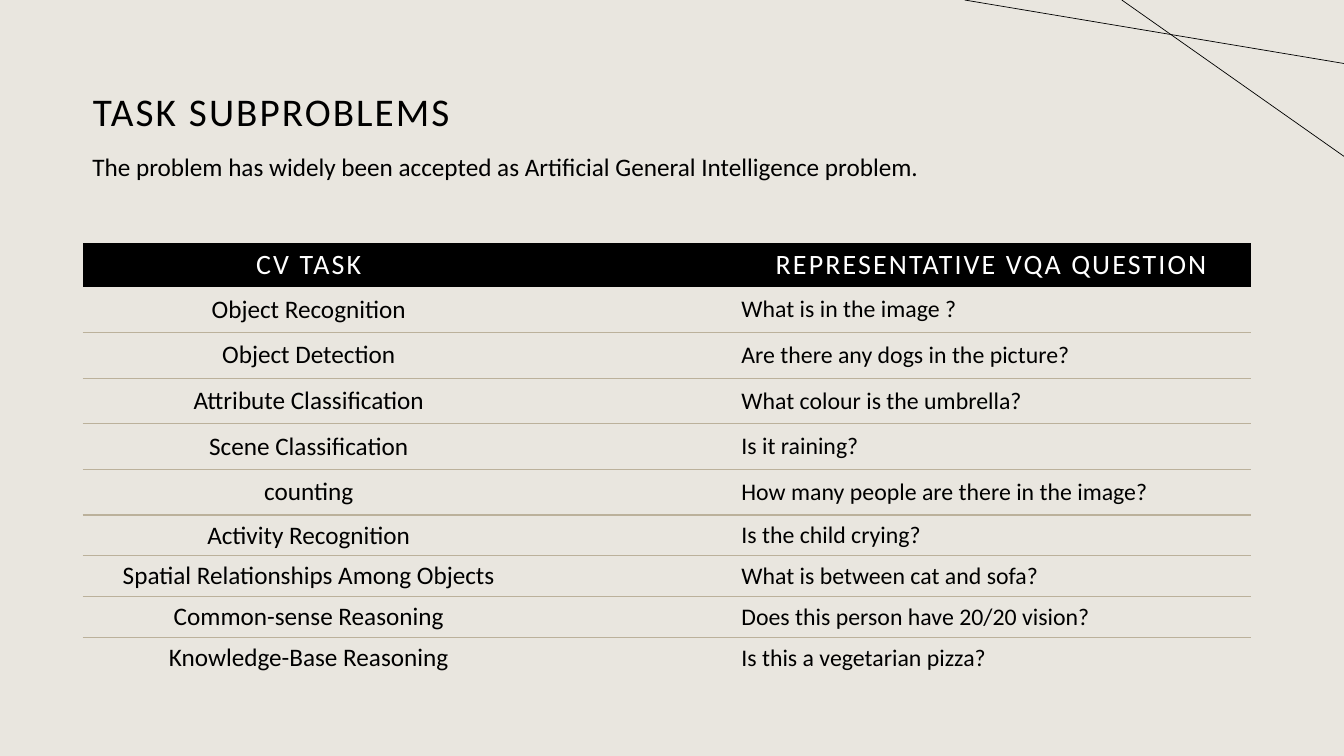
from dataclasses import dataclass

from lxml.etree import SubElement
from pptx import Presentation
from pptx.dml.color import RGBColor as Rgb
from pptx.enum.shapes import MSO_CONNECTOR as Connector
from pptx.enum.text import MSO_ANCHOR as Anchor, PP_ALIGN as Align
from pptx.oxml import parse_xml
from pptx.oxml.ns import nsdecls, qn
from pptx.util import Cm, Pt


@dataclass(frozen=True)
class Theme:
    """Colours, font and type sizes of the slide."""
    font: str = "Calibri"
    paper: Rgb = Rgb(0xE9, 0xE6, 0xDF)
    ink: Rgb = Rgb(0, 0, 0)
    white: Rgb = Rgb(0xFF, 0xFF, 0xFF)
    rule: Rgb = Rgb(0xBB, 0xB1, 0x9B)
    title: int = 28
    header: int = 20
    body: int = 18
    question: int = 17
    tracking: int = 150


theme = Theme()
NO_GRID_STYLE = "{2D5ABB26-0587-4C30-8999-92F81FD0307C}"


def write(frame, text, size, color=theme.ink, align=Align.LEFT, tracking=0):
    """Put one styled paragraph in a text frame and return it."""
    para = frame.paragraphs[0]
    span = para.add_run()
    span.text = text
    para.alignment = align
    para.font.name, para.font.size = theme.font, Pt(size)
    para.font.color.rgb = color
    if tracking:
        span.font._element.set("spc", str(tracking))
    return para


def rule_below(cell):
    """Draw a thin line along the bottom edge of a table cell."""
    line = parse_xml(
        f'<a:lnB {nsdecls("a")} w="{Pt(1)}"><a:solidFill>'
        f'<a:srgbClr val="{theme.rule}"/></a:solidFill></a:lnB>')
    cell._tc.get_or_add_tcPr().insert(0, line)


deck = Presentation()
deck.slide_width, deck.slide_height = Cm(33.87), Cm(19.05)
page = deck.slides.add_slide(deck.slide_layouts[6])
page.background.fill.solid()
page.background.fill.fore_color.rgb = theme.paper

# Title and introduction
headings = [
    ("TASK SUBPROBLEMS", theme.title, theme.tracking, Anchor.MIDDLE, 0,
     (2.34, 1.02, 29.21, 3.68)),
    ("The problem has widely been accepted as Artificial General "
     "Intelligence problem.", theme.body, 0, Anchor.TOP, 0.25,
     (2.08, 3.78, 26.8, 1.37)),
]
for text, size, tracking, anchor, inset, place in headings:
    box = page.shapes.add_textbox(*map(Cm, place))
    frame = box.text_frame
    frame.word_wrap = True
    frame.vertical_anchor = anchor
    frame.margin_left = Cm(inset)
    write(frame, text, size, tracking=tracking).line_spacing = 0.9

# Table of tasks and sample questions; the middle column is a spacer
tasks = [
    ("Object Recognition", "What is in the image ?"),
    ("Object Detection", "Are there any dogs in the picture?"),
    ("Attribute Classification", "What colour is the umbrella?"),
    ("Scene Classification", "Is it raining?"),
    ("counting", "How many people are there in the image?"),
    ("Activity Recognition", "Is the child crying?"),
    ("Spatial Relationships Among Objects", "What is between cat and sofa?"),
    ("Common-sense Reasoning", "Does this person have 20/20 vision?"),
    ("Knowledge-Base Reasoning", "Is this a vegetarian pizza?"),
]
column_widths = [11.4, 4.95, 13.1]
row_heights = [1.11] + [1.15] * 5 + [1.03] * 4
table = page.shapes.add_table(
    len(row_heights), len(column_widths), Cm(2.08), Cm(6.12),
    Cm(sum(column_widths)), Cm(sum(row_heights))).table
table.horz_banding = False
table._tbl.tblPr.find(qn("a:tableStyleId")).text = NO_GRID_STYLE
for column, width in zip(table.columns, column_widths):
    column.width = Cm(width)
for row, height in zip(table.rows, row_heights):
    row.height = Cm(height)

for cell in table.rows[0].cells:
    cell.fill.solid()
    cell.fill.fore_color.rgb = theme.ink
for index, text in ((0, "CV TASK"), (2, "REPRESENTATIVE VQA QUESTION")):
    cell = table.cell(0, index)
    cell.vertical_anchor = Anchor.MIDDLE
    write(cell.text_frame, text, theme.header, theme.white, Align.CENTER,
          theme.tracking)

for number, (task, question) in enumerate(tasks, start=1):
    cells = list(table.rows[number].cells)
    for cell in cells:
        cell.fill.background()
        cell.vertical_anchor = Anchor.MIDDLE
        if number < len(tasks):
            rule_below(cell)
    write(cells[0].text_frame, task, theme.body, align=Align.CENTER)
    write(cells[2].text_frame, question, theme.question)

# Crossing lines in the top right corner
for start, drop in ((28.27, 3.94), (24.31, 1.6)):
    line = page.shapes.add_connector(
        Connector.STRAIGHT, Cm(start), 0, deck.slide_width, Cm(drop))
    line.line.color.rgb = theme.ink
    line.line.width = Pt(0.5)
    SubElement(line._element.spPr, qn("a:effectLst"))

deck.save("out.pptx")
